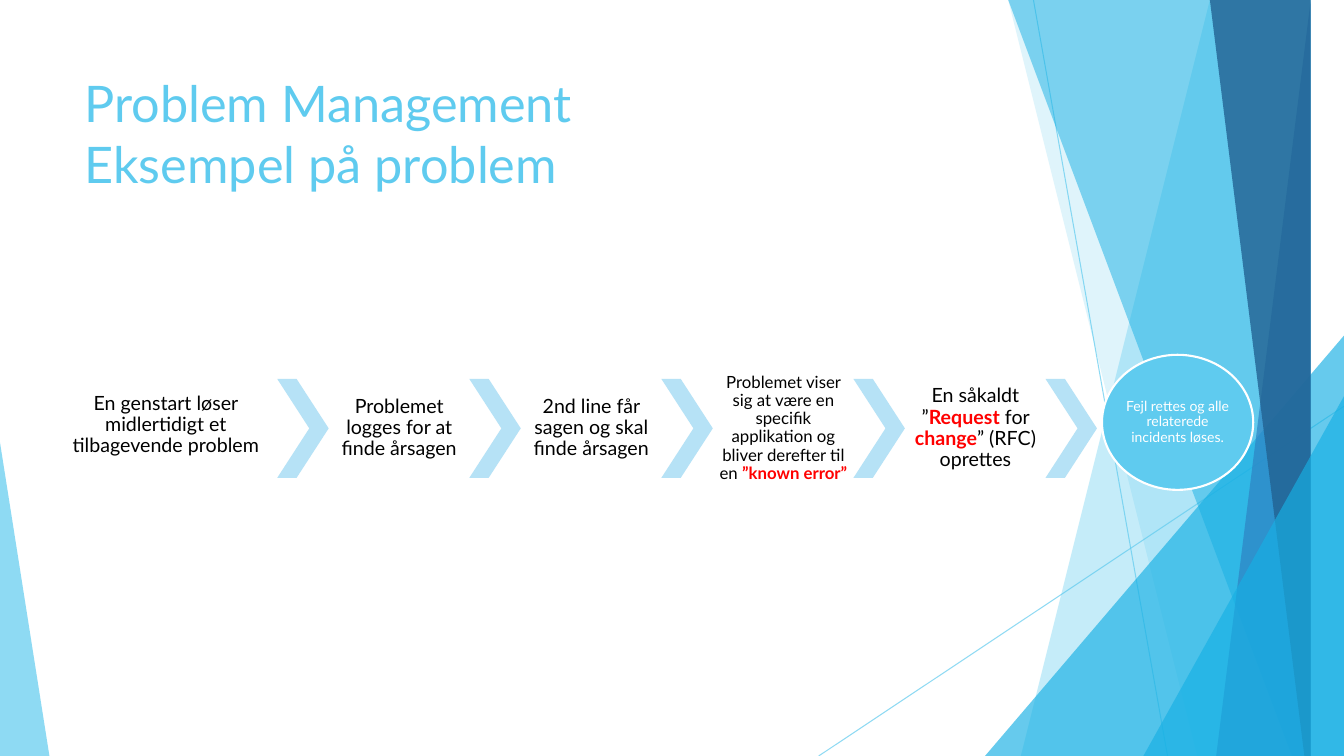
from collections import namedtuple

from lxml import etree
from pptx import Presentation
from pptx.dml.color import RGBColor
from pptx.enum.shapes import MSO_CONNECTOR, MSO_SHAPE
from pptx.enum.text import MSO_ANCHOR, PP_ALIGN
from pptx.oxml.ns import qn
from pptx.util import Inches, Pt

Box = namedtuple("Box", "left top width height")

STRAIGHT = MSO_CONNECTOR.STRAIGHT
TRIANGLE = MSO_SHAPE.ISOSCELES_TRIANGLE
CHEVRON = MSO_SHAPE.CHEVRON
OVAL = MSO_SHAPE.OVAL
MIDDLE = MSO_ANCHOR.MIDDLE
TOP = MSO_ANCHOR.TOP
CENTER = PP_ALIGN.CENTER
LEFT = PP_ALIGN.LEFT

FONT = "Lato"
COLORS = {
    "sky": "5FCBEF",
    "cyan": "17B0E4",
    "blue": "2E83C3",
    "navy": "226292",
    "chevron": "B6E2F6",
    "text": "000000",
    "accent": "FF0000",
    "white": "FFFFFF",
}

PAGE = Box(0, 0, 13.33, 7.5)
TITLE = Box(0.74, 0.67, 9.4, 1.44)
FLOW = Box(0.59, 3.76, 11.84, 0.98)

RAYS = [((10.25, 0), (11.58, 7.5)), ((13.33, 4.03), (8.12, 7.5))]
FACETS = [
    ("band", 12.28, 10.04, "sky", 36),
    ("band", 10.5, 11.83, "sky", 20),
    ("corner", 9.77, 3.33, "cyan", 66),
    ("band", 10.21, 12.91, "cyan", 50),
    ("band", 13.03, 11.92, "blue", 70),
    ("band", 11.96, 13.18, "navy", 80),
    ("corner", 11.34, 3.93, "cyan", 66),
]

STEPS = [
    (14, [("En genstart løser midlertidigt et tilbagevende problem", False)]),
    (14, [("Problemet logges for at finde årsagen", False)]),
    (14, [("2nd line får sagen og skal finde årsagen", False)]),
    (12, [("Problemet viser sig at være en specifik applikation og "
           "bliver derefter til en ", False), ("”known error”", True)]),
    (14, [("En såkaldt ”", False), ("Request", True), (" for ", False),
          ("change", True), ("” (RFC) oprettes", False)]),
]
RESULT = [("Fejl rettes og alle relaterede incidents løses.", False)]


def rgb(name):
    """Return the named colour."""
    return RGBColor.from_string(COLORS[name])


def inches(box):
    """Return the four lengths of a box in inches."""
    return [Inches(length) for length in box]


def set_fill(fill, color, opacity=100):
    """Fill with one colour at an opacity in percent."""
    fill.solid()
    fill.fore_color.rgb = rgb(color)
    if opacity < 100:
        for node in fill._xPr.iter(qn("a:srgbClr")):
            etree.SubElement(node, qn("a:alpha"), val=str(opacity * 1000))


def paint(shape, color, opacity=100):
    """Give a shape a flat fill without line or shadow."""
    shape.shadow.inherit = False
    shape.line.fill.background()
    set_fill(shape.fill, color, opacity)


def add_shape(page, kind, box, color, opacity=100, adjustment=None):
    """Add a flat preset shape."""
    shape = page.shapes.add_shape(kind, *inches(box))
    paint(shape, color, opacity)
    if adjustment is not None:
        shape.adjustments[0] = adjustment
    return shape


def write(shape, spans, size, color, inset=(0.01, 0.01), anchor=MIDDLE,
          align=CENTER, spacing=0.9):
    """Write one paragraph of plain and accented spans into a shape."""
    frame = shape.text_frame
    frame.word_wrap = True
    frame.vertical_anchor = anchor
    frame.margin_left = frame.margin_right = Inches(inset[0])
    frame.margin_top = frame.margin_bottom = Inches(inset[1])
    para = frame.paragraphs[0]
    para.alignment = align
    para.line_spacing = spacing
    para.font.name = FONT
    para.font.size = Pt(size)
    para.font.color.rgb = rgb(color)
    for text, accented in spans:
        for index, line in enumerate(text.split("\n")):
            if index:
                para.add_line_break()
            span = para.add_run()
            span.text = line
            if accented:
                span.font.bold = True
                span.font.color.rgb = rgb("accent")


def add_ray(page, start, end):
    """Add a thin translucent line."""
    ray = page.shapes.add_connector(
        STRAIGHT, *[Inches(length) for length in start + end])
    ray.line.width = Pt(0.75)
    set_fill(ray.line.fill, "sky", 70)
    etree.SubElement(ray._element.spPr, qn("a:effectLst"))


def add_band(page, box, top_x, bottom_x, color, opacity):
    """Add a slanted band reaching the right edge of the box."""
    right, bottom = box.left + box.width, box.top + box.height
    builder = page.shapes.build_freeform(top_x, box.top, scale=Inches(1))
    builder.add_line_segments(
        [(right, box.top), (right, bottom), (bottom_x, bottom)], close=True)
    paint(builder.convert_to_shape(), color, opacity)


def add_backdrop(page, box):
    """Draw the translucent facets along the edges of the box."""
    right, bottom = box.left + box.width, box.top + box.height
    for start, end in RAYS:
        add_ray(page, start, end)
    for kind, first, second, color, opacity in FACETS:
        if kind == "band":
            add_band(page, box, first, second, color, opacity)
        else:
            corner = Box(first, second, right - first, bottom - second)
            add_shape(page, TRIANGLE, corner, color, opacity, 1)
    wedge = Box(box.left, bottom - 3.11, 0.49, 3.11)
    add_shape(page, TRIANGLE, wedge, "sky", 70, 0)


def add_title(page, box):
    """Write the two-line title."""
    title = page.shapes.add_textbox(*inches(box))
    write(title, [("Problem Management\nEksempel på problem", False)], 36,
          "sky", (0.1, 0.05), TOP, LEFT, 1)


def add_flow(page, box):
    """Lay out the steps, each followed by a chevron, and the final circle."""
    first_width, step_width, arrow_width, pitch = 2.11, 1.39, 0.51, 1.905
    first_arrow = box.left + 2.16
    for index, (size, spans) in enumerate(STEPS):
        arrow_left = first_arrow + index * pitch
        left = arrow_left - step_width if index else box.left
        width = step_width if index else first_width
        height = box.height if index else 0.92
        step = page.shapes.add_textbox(
            *inches(Box(left, box.top, width, height)))
        write(step, spans, size, "text")
        add_shape(page, CHEVRON,
                  Box(arrow_left, box.top, arrow_width, box.height),
                  "chevron", adjustment=0.623)
    diameter, height = 1.5, 1.34
    circle = add_shape(page, OVAL,
                       Box(box.left + box.width - diameter, box.top - 0.24,
                           diameter, height), "sky")
    set_fill(circle.line.fill, "white")
    circle.line.width = Pt(1.5)
    write(circle, RESULT, 10, "white", (0, 0))


def main():
    """Build and save the deck."""
    deck = Presentation()
    deck.slide_width, deck.slide_height = Inches(PAGE.width), Inches(PAGE.height)
    page = deck.slides.add_slide(deck.slide_layouts[6])
    add_backdrop(page, PAGE)
    add_title(page, TITLE)
    add_flow(page, FLOW)
    deck.save("out.pptx")


if __name__ == "__main__":
    main()
